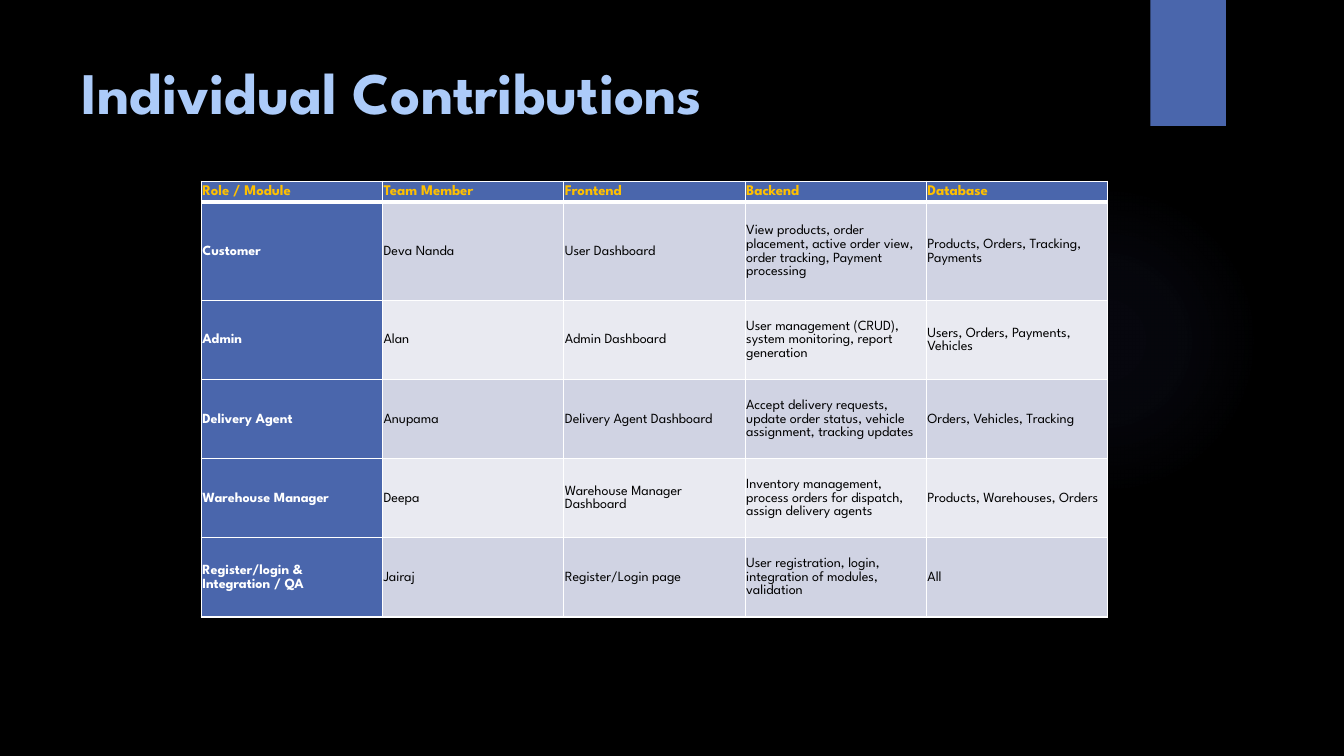
from lxml import etree
from pptx import Presentation
from pptx.dml.color import RGBColor
from pptx.enum.shapes import MSO_SHAPE
from pptx.enum.text import MSO_ANCHOR, PP_ALIGN
from pptx.oxml import parse_xml
from pptx.oxml.ns import qn
from pptx.util import Pt

OVAL, RECT = MSO_SHAPE.OVAL, MSO_SHAPE.RECTANGLE
TOP, MIDDLE, LEFT = MSO_ANCHOR.TOP, MSO_ANCHOR.MIDDLE, PP_ALIGN.LEFT
FONT = "League Spartan"
NS = "http://schemas.openxmlformats.org/drawingml/2006/main"
HEX = {
    "black": "000000", "white": "FFFFFF", "blue": "4A66AC", "sky": "ACCBF9",
    "gold": "FFC000", "dark": "D0D3E3", "light": "E9EAF1", "glow": "5C64B7",
}


def color(name):
    return RGBColor.from_string(HEX[name])


def style(para, size, name, bold):
    para.alignment = LEFT
    font = para.font
    font.name, font.size, font.bold = FONT, Pt(size), bold
    font.color.rgb = color(name)


deck = Presentation()
deck.slide_width, deck.slide_height = Pt(960), Pt(540)
slide = deck.slides.add_slide(deck.slide_layouts[5])
slide.background.fill.solid()
slide.background.fill.fore_color.rgb = color("black")

# Faint round glow
glow = slide.shapes.add_shape(OVAL, Pt(677.5), Pt(131.8), Pt(221.8), Pt(221.8))
glow.shadow.inherit = False
glow.line.fill.background()
stops = "".join(
    f'<a:gs pos="{pos * 1000}"><a:srgbClr val="{HEX["glow"]}">'
    f'<a:alpha val="{alpha * 1000}"/></a:srgbClr></a:gs>'
    for pos, alpha in [(0, 7), (36, 6), (69, 0)])
glow.element.spPr.insert(2, parse_xml(
    f'<a:gradFill xmlns:a="{NS}"><a:gsLst>{stops}</a:gsLst><a:path path="circle">'
    '<a:fillToRect l="50000" t="50000" r="50000" b="50000"/></a:path></a:gradFill>'))

# Corner tab
tab = slide.shapes.add_shape(RECT, Pt(821.7), 0, Pt(54), Pt(90))
tab.shadow.inherit = False
tab.fill.solid()
tab.fill.fore_color.rgb = color("blue")
tab.line.fill.background()

# Title
title = slide.shapes.title
title.left, title.top, title.width, title.height = Pt(51), Pt(36), Pt(741), Pt(110)
title.text_frame.text = "Individual Contributions"
title.text_frame.vertical_anchor = TOP
style(title.text_frame.paragraphs[0], 42, "sky", True)

# Table of contributions
ROWS = [
    ["Role / Module", "Team Member", "Frontend", "Backend", "Database"],
    ["Customer", "Deva Nanda", "User Dashboard",
     "View products, order placement, active order view, order tracking, Payment processing",
     "Products, Orders, Tracking, Payments"],
    ["Admin", "Alan", "Admin Dashboard",
     "User management (CRUD), system monitoring, report generation",
     "Users, Orders, Payments, Vehicles"],
    ["Delivery Agent", "Anupama", "Delivery Agent Dashboard",
     "Accept delivery requests, update order status, vehicle assignment, tracking updates",
     "Orders, Vehicles, Tracking"],
    ["Warehouse Manager", "Deepa", "Warehouse Manager Dashboard",
     "Inventory management, process orders for dispatch, assign delivery agents",
     "Products, Warehouses, Orders"],
    ["Register/login & Integration / QA", "Jairaj", "Register/Login page",
     "User registration, login, integration of modules, validation", "All"],
]
HIGH = [15, 70.3] + [56.5] * 4
frame = slide.shapes.add_table(len(ROWS), 5, Pt(143.8), Pt(129.4), Pt(647.5), Pt(sum(HIGH)))
table = frame.table
table.first_col = True
table.horz_banding = False
for col in table.columns:
    col.width = Pt(129.5)

for r, texts in enumerate(ROWS):
    table.rows[r].height = Pt(HIGH[r])
    for c, text in enumerate(texts):
        if r == 0:
            fill, look = "blue", (10.5, "gold", True)
        elif c == 0:
            fill, look = "blue", (10, "white", True)
        else:
            fill, look = ("dark" if r % 2 else "light"), (10, "black", False)
        cell = table.cell(r, c)
        cell.text = text
        cell.vertical_anchor = MIDDLE
        cell.margin_left = cell.margin_right = Pt(0.75)
        cell.margin_top = cell.margin_bottom = Pt(0.75)
        para = cell.text_frame.paragraphs[0]
        style(para, *look)
        para.line_spacing, para.space_after = 1.07, Pt(8)

        # White borders, thicker under the header
        props = cell._tc.get_or_add_tcPr()
        for side in "LRTB":
            thick = (r, side) in [(0, "B"), (1, "T")]
            line = etree.SubElement(props, qn(f"a:ln{side}"), w=str(Pt(3 if thick else 1)))
            solid = etree.SubElement(line, qn("a:solidFill"))
            etree.SubElement(solid, qn("a:srgbClr"), val=HEX["white"])
        cell.fill.solid()
        cell.fill.fore_color.rgb = color(fill)

deck.save("out.pptx")
